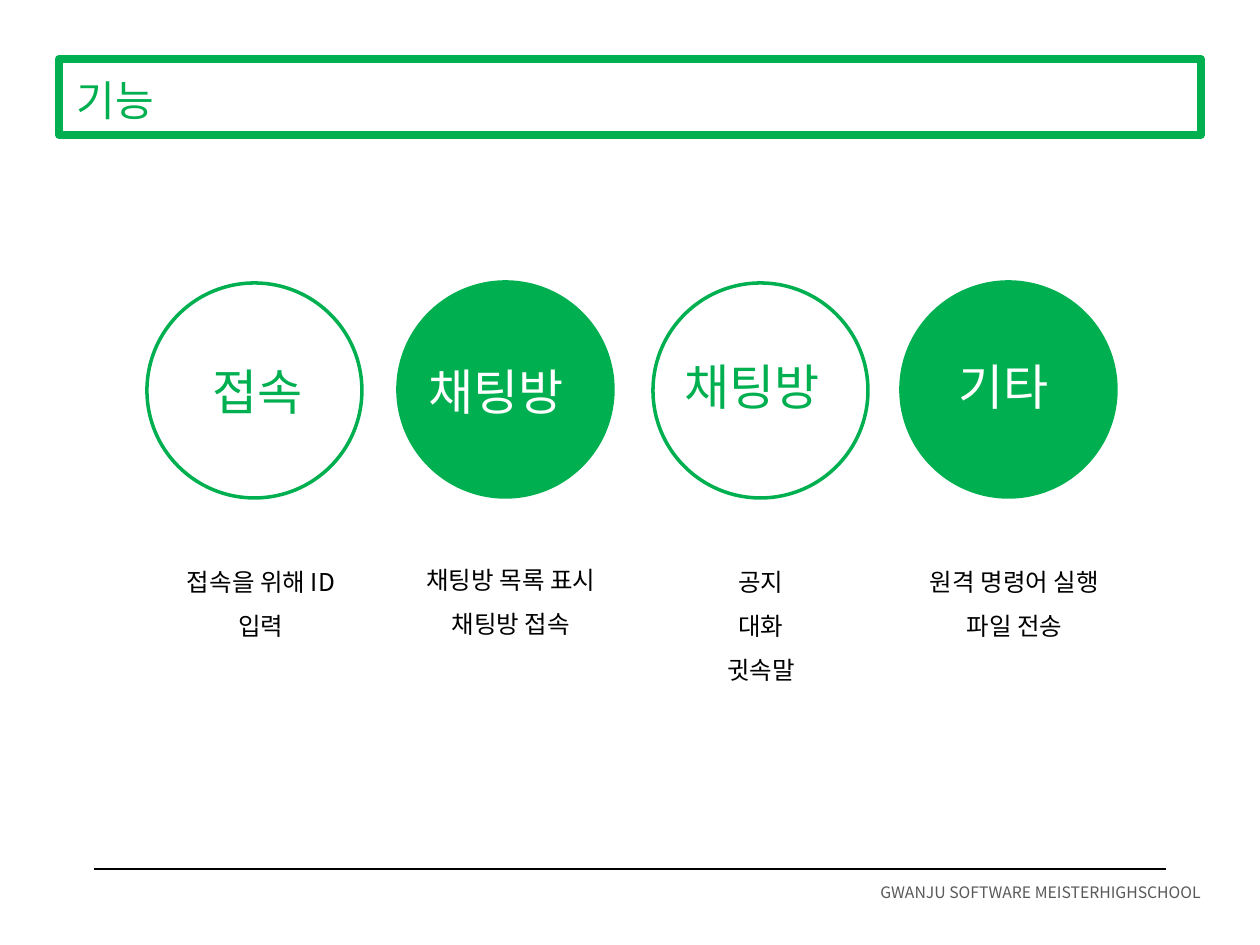
from dataclasses import dataclass

import pptx
import pptx.dml.color
import pptx.enum.shapes
import pptx.enum.text
import pptx.oxml
import pptx.util

PX = 914400 / 126
FONT = "Noto Sans CJK KR"
GREEN, WHITE, BLACK, GRAY = "00B050", "FFFFFF", "000000", "595959"
DIAMETER = 215
ALIGN = pptx.enum.text.PP_ALIGN
ANCHOR = pptx.enum.text.MSO_ANCHOR
SHAPE = pptx.enum.shapes.MSO_SHAPE


@dataclass
class Box:
    x: int
    y: int
    w: int
    h: int

    def emu(self) -> tuple[int, ...]:
        return tuple(round(v * PX) for v in (self.x, self.y, self.w, self.h))


@dataclass
class Feature:
    name: str
    x: int
    y: int
    filled: bool
    label: Box
    caption: Box
    lines: list[str]


FEATURES = [
    Feature("접속", 147, 283, False, Box(200, 355, 119, 72),
            Box(156, 546, 210, 98), ["접속을 위해 ID 입력"]),
    Feature("채팅방", 398, 282, True, Box(416, 355, 174, 72),
            Box(409, 544, 204, 98), ["채팅방 목록 표시", "채팅방 접속"]),
    Feature("채팅방", 653, 283, False, Box(672, 350, 174, 72),
            Box(711, 546, 100, 142), ["공지", "대화", "귓속말"]),
    Feature("기타", 901, 282, True, Box(946, 350, 125, 72),
            Box(911, 546, 207, 98), ["원격 명령어 실행", "파일 전송"]),
]


def rgb(color: str) -> pptx.dml.color.RGBColor:
    return pptx.dml.color.RGBColor.from_string(color)


def write(sp, lines: list[str], *, size: int, color: str, align=ALIGN.LEFT,
          spacing: float = 1.0, anchor=ANCHOR.TOP) -> None:
    tf = sp.text_frame
    tf.word_wrap = True
    tf.auto_size = pptx.enum.text.MSO_AUTO_SIZE.NONE
    tf.vertical_anchor = anchor
    for i, line in enumerate(lines):
        p = tf.paragraphs[0] if i == 0 else tf.add_paragraph()
        p.alignment = align
        p.line_spacing = spacing
        r = p.add_run()
        r.text = line
        r.font.size = pptx.util.Pt(size)
        r.font.color.rgb = rgb(color)
        r.font.name = FONT
        ea = pptx.oxml.parse_xml(
            '<a:ea xmlns:a="http://schemas.openxmlformats.org/drawingml/2006/main"'
            f' typeface="{FONT}"/>')
        r.font._element.append(ea)


def add_text(shapes, box: Box, lines: list[str], **fmt) -> None:
    write(shapes.add_textbox(*box.emu()), lines, **fmt)


def add_outline(shapes, kind, box: Box, width: float, fill: str | None = None) -> None:
    sp = shapes.add_shape(kind, *box.emu())
    sp.shadow.inherit = False
    sp.line.color.rgb = rgb(GREEN)
    sp.line.width = pptx.util.Pt(width)
    if fill:
        sp.fill.solid()
        sp.fill.fore_color.rgb = rgb(fill)
    else:
        sp.fill.background()


def add_feature(s, f: Feature) -> None:
    group = s.shapes.add_group_shape()
    add_outline(group.shapes, SHAPE.OVAL, Box(f.x, f.y, DIAMETER, DIAMETER), 2,
                GREEN if f.filled else None)
    add_text(group.shapes, f.label, [f.name], size=28,
             color=WHITE if f.filled else GREEN)
    add_text(s.shapes, f.caption, f.lines, size=14, color=BLACK,
             align=ALIGN.CENTER, spacing=1.5)


def add_title(s, text: str) -> None:
    add_outline(s.shapes, SHAPE.RECTANGLE, Box(59, 59, 1142, 76), 4.5)
    title = s.shapes.title
    title.left, title.top, title.width, title.height = Box(64, 62, 297, 76).emu()
    write(title, [text], size=24, color=GREEN, anchor=ANCHOR.MIDDLE)


def add_footer(s) -> None:
    x1, y, x2 = (round(v * PX) for v in (94, 869, 1166))
    rule = s.shapes.add_connector(pptx.enum.shapes.MSO_CONNECTOR.STRAIGHT, x1, y, x2, y)
    rule.line.color.rgb = rgb(BLACK)
    rule.line.width = pptx.util.Pt(0.75)
    rule._element.spPr.append(pptx.oxml.parse_xml(
        '<a:effectLst xmlns:a="http://schemas.openxmlformats.org/drawingml/2006/main"/>'))
    add_text(s.shapes, Box(868, 867, 350, 42), ["GWANJU SOFTWARE MEISTERHIGHSCHOOL"],
             size=9, color=GRAY, spacing=1.5)


def main() -> None:
    prs = pptx.Presentation()
    prs.slide_width, prs.slide_height = pptx.util.Inches(10), pptx.util.Inches(7.5)
    s = prs.slides.add_slide(prs.slide_layouts[5])
    add_title(s, "기능")
    for feature in FEATURES:
        add_feature(s, feature)
    add_footer(s)
    prs.save("out.pptx")


if __name__ == "__main__":
    main()
